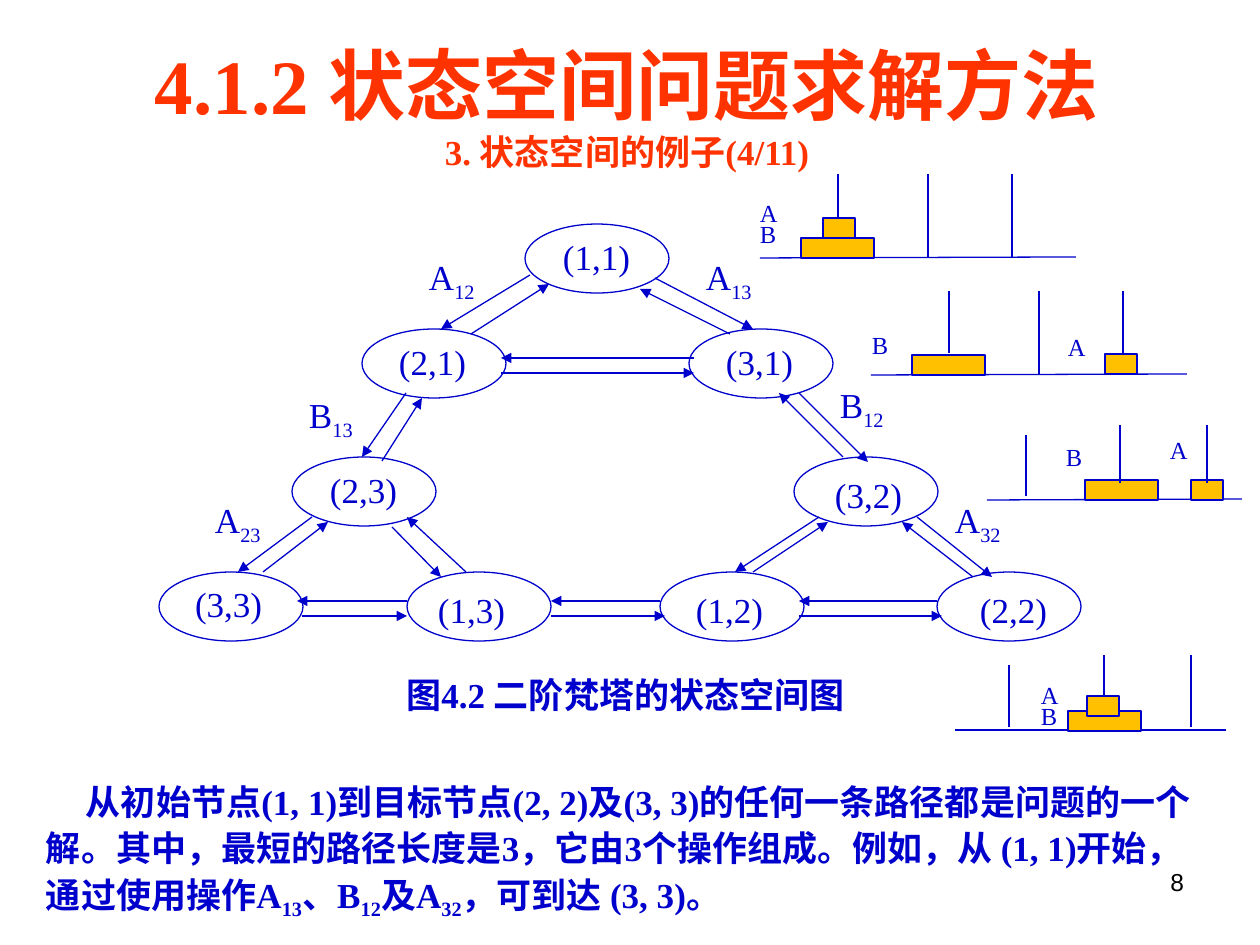
from lxml import etree
from pptx import Presentation
from pptx import util as u
from pptx.dml.color import RGBColor
from pptx.enum import shapes, text
from pptx.oxml.ns import qn

PX = 914400 / 126
COLORS = {"title": "FF3300", "ink": "0000CC", "disc": "FFC000", "page": "000000"}
SERIF = "Times New Roman"

# In every text, the parts between underscores are subscripts.
TITLE = "4.1.2 状态空间问题求解方法"
SUBTITLE = "3. 状态空间的例子(4/11)"
CAPTION = "图4.2 二阶梵塔的状态空间图"
BODY = ("从初始节点(1, 1)到目标节点(2, 2)及(3, 3)的任何一条路径都是问题的一个解。"
        "其中，最短的路径长度是3，它由3个操作组成。例如，从 (1, 1)开始，"
        "通过使用操作A_13_、B_12_及A_32_，可到达 (3, 3)。")

NODE_W, NODE_H = 144, 69
# state, node left and top, offset of its label
NODES = [
    ("(1,1)", 525, 224, 36, 10),
    ("(2,1)", 362, 329, 35, 10), ("(3,1)", 689, 329, 35, 10),
    ("(2,3)", 292, 457, 36, 10), ("(3,2)", 794, 457, 39, 15),
    ("(3,3)", 159, 572, 34, 10), ("(1,3)", 407, 572, 29, 15),
    ("(1,2)", 660, 572, 34, 15), ("(2,2)", 937, 572, 41, 15),
]

OPERATORS = [
    ("A_12_", 427, 255), ("A_13_", 704, 255), ("B_13_", 307, 393),
    ("B_12_", 838, 383), ("A_23_", 213, 498), ("A_32_", 953, 498),
]

# x1, y1, x2, y2, one pair of moves on each row
MOVES = [
    (530, 275, 441, 329), (471, 334, 549, 284),
    (655, 278, 753, 329), (730, 334, 640, 289),
    (694, 358, 501, 358), (501, 373, 694, 373),
    (406, 393, 362, 457), (382, 461, 422, 398),
    (799, 393, 868, 462), (843, 457, 779, 393),
    (312, 517, 238, 572), (263, 572, 328, 522),
    (392, 527, 441, 577), (466, 572, 407, 517),
    (819, 517, 735, 572), (753, 572, 828, 522),
    (917, 517, 992, 577), (973, 577, 902, 522),
    (407, 601, 297, 601), (302, 616, 407, 616),
    (660, 601, 551, 601), (551, 616, 665, 616),
    (937, 601, 799, 601), (799, 616, 942, 616),
]

DISC_W, DISC_H = {"A": 32, "B": 73}, 20
# discs: left, top; pegs: x, top, bottom; labels: lines, left, top, height, spacing
TOWERS = [
    {"base": (760, 258, 1076, 257),
     "discs": {"B": (801, 238), "A": (823, 218)},
     "pegs": [(838, 174, 218), (928, 174, 258), (1012, 174, 258)],
     "labels": [(["A", "B"], 747, 205, 49, 0.5)]},
    {"base": (871, 375, 1187, 374),
     "discs": {"B": (912, 355), "A": (1105, 354)},
     "pegs": [(949, 291, 353), (1039, 291, 375), (1123, 291, 353)],
     "labels": [(["A"], 1055, 339, 28, 0.5), (["B"], 859, 337, 28, 0.5)]},
    {"base": (987, 500, 1242, 499),
     "discs": {"B": (1085, 480), "A": (1191, 480)},
     "pegs": [(1026, 435, 496), (1120, 425, 483), (1207, 425, 483)],
     "labels": [(["A"], 1157, 442, 28, 0.5), (["B"], 1053, 449, 28, 0.5)]},
    {"base": (955, 730, 1226, 730),
     "discs": {"B": (1068, 711), "A": (1087, 696)},
     "pegs": [(1009, 665, 727), (1104, 655, 696), (1191, 655, 727)],
     "labels": [(["A", "B"], 1028, 682, 55, u.Pt(12))]},
]


def px(*values):
    return [u.Emu(round(v * PX)) for v in values]


def rgb(name):
    return RGBColor.from_string(COLORS[name])


def add_text(parent, lines, box, sizes=(20,), color="ink", font=SERIF, bold=False,
             align=text.PP_ALIGN.LEFT, inset=(13, 6), spacing=None, before=0,
             after=0, indent=0):
    tf = parent.add_textbox(*px(*box)).text_frame
    tf.word_wrap = True
    tf.auto_size = text.MSO_AUTO_SIZE.SHAPE_TO_FIT_TEXT
    tf.margin_left = tf.margin_right = px(inset[0])[0]
    tf.margin_top = tf.margin_bottom = px(inset[1])[0]
    for i, line in enumerate(lines):
        p = tf.paragraphs[0] if i == 0 else tf.add_paragraph()
        p.alignment = align
        p.space_before = u.Pt(before if i else 0)
        p.space_after = u.Pt(after)
        if spacing:
            p.line_spacing = spacing
        if indent:
            p._p.get_or_add_pPr().set("indent", str(px(indent)[0]))
        for j, part in enumerate(line.split("_")):
            if not part:
                continue
            r = p.add_run()
            r.text = part
            r.font.name, r.font.bold = font, bold
            r.font.size = u.Pt(sizes[min(i, len(sizes) - 1)])
            r.font.color.rgb = rgb(color)
            if j % 2:
                r.font._element.set("baseline", "-25000")


def add_line(parent, ends, arrow=False):
    c = parent.add_connector(shapes.MSO_CONNECTOR.STRAIGHT, *px(*ends))
    c.line.color.rgb = rgb("ink")
    c.line.width = u.Pt(0.75)
    if arrow:
        etree.SubElement(c.line._get_or_add_ln(), qn("a:tailEnd"), type="triangle")
    etree.SubElement(c._element.spPr, qn("a:effectLst"))


def add_outline(parent, kind, box, fill=None):
    sp = parent.add_shape(kind, *px(*box))
    sp.shadow.inherit = False
    sp.line.color.rgb = rgb("ink")
    sp.line.width = u.Pt(0.75)
    if fill:
        sp.fill.solid()
        sp.fill.fore_color.rgb = rgb(fill)
    else:
        sp.fill.background()


def add_tower(parent, tower):
    group = parent.add_group_shape().shapes
    add_line(group, tower["base"])
    for disc, (x, y) in tower["discs"].items():
        add_outline(group, shapes.MSO_SHAPE.RECTANGLE, (x, y, DISC_W[disc], DISC_H), "disc")
    for x, top, bottom in tower["pegs"]:
        add_line(group, (x, bottom, x, top))
    for lines, x, y, h, spacing in tower["labels"]:
        before = 3.5 if spacing == 0.5 else 0
        add_text(group, lines, (x, y, 53, h), sizes=(14,), spacing=spacing, before=before)


def main():
    prs = Presentation()
    prs.slide_width, prs.slide_height = px(1260, 945)
    s = prs.slides.add_slide(prs.slide_layouts[6]).shapes
    center = text.PP_ALIGN.CENTER

    # Headings, caption, explanation and page number
    add_text(s, [TITLE, SUBTITLE], (64, 32, 1126, 147), sizes=(44, 20), color="title",
             bold=True, align=center)
    add_text(s, [CAPTION], (184, 667, 883, 55), bold=True, align=center)
    add_text(s, [BODY], (33, 770, 1191, 158), bold=True, spacing=1.1, after=2.5, indent=40)
    add_text(s, ["8"], (903, 861, 294, 66), sizes=(14,), color="page", font="Arial",
             align=text.PP_ALIGN.RIGHT)

    # State graph
    for move in MOVES:
        add_line(s, move, arrow=True)
    for state, x, y, dx, dy in NODES:
        add_outline(s, shapes.MSO_SHAPE.OVAL, (x, y, NODE_W, NODE_H))
        add_text(s, [state], (x + dx, y + dy, 79, 45), inset=(2, 1))
    for name, x, y in OPERATORS:
        add_text(s, [name], (x, y, 64, 50), inset=(2, 1))

    # Tower sketches
    for tower in TOWERS:
        add_tower(s, tower)

    prs.save("out.pptx")


if __name__ == "__main__":
    main()
